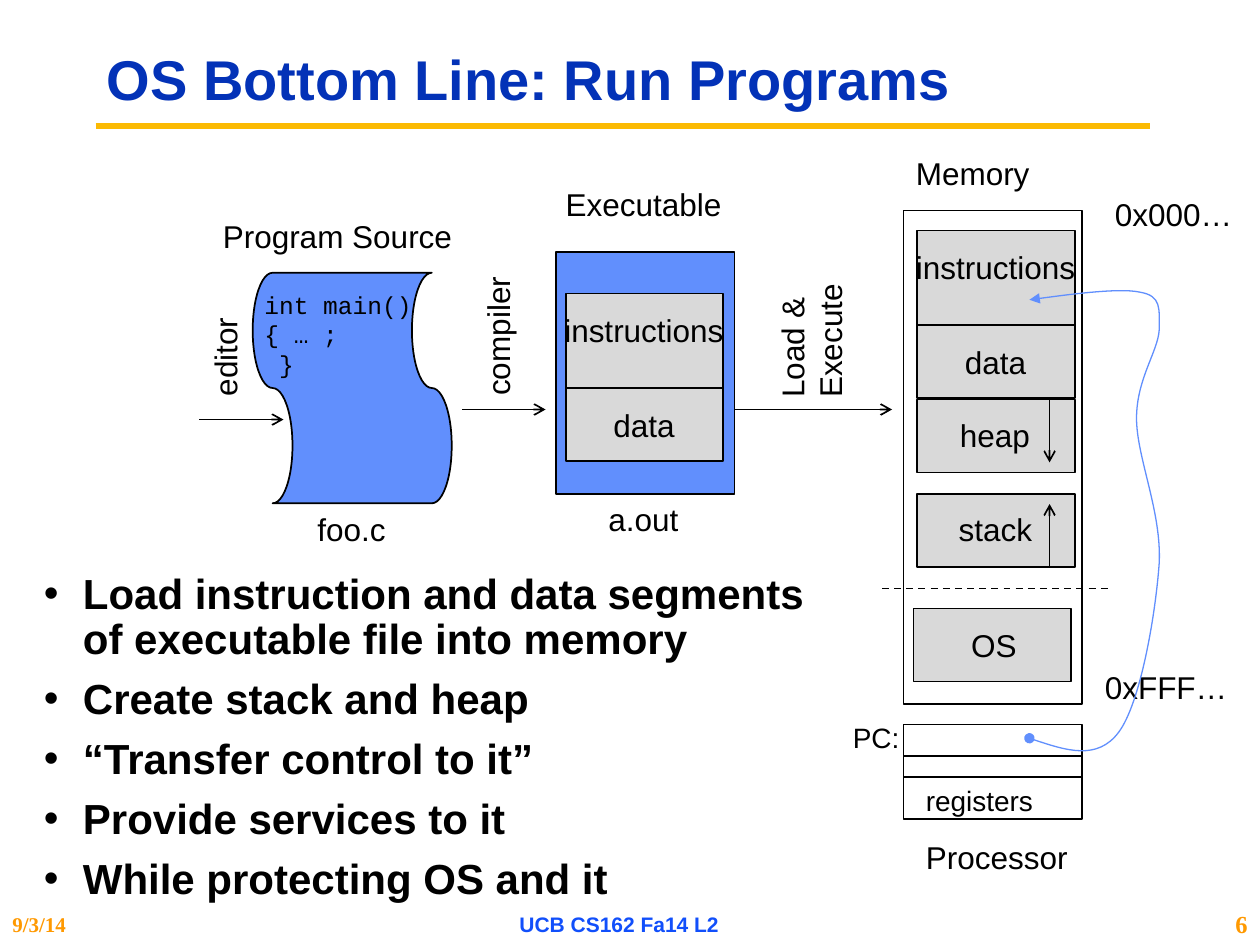
from typing import NamedTuple

from lxml import etree
from pptx import Presentation
from pptx import util as u
from pptx.dml.color import RGBColor
from pptx.enum import dml, shapes, text
from pptx.oxml.ns import qn

PX = 9144  # one px is a hundredth of an inch

BLACK = RGBColor(0x00, 0x00, 0x00)
NAVY = RGBColor(0x03, 0x32, 0xB7)
ROYAL = RGBColor(0x11, 0x4F, 0xFB)
SKY = RGBColor(0x61, 0x8F, 0xFD)
GREY = RGBColor(0xD9, 0xD9, 0xD9)
GOLD = RGBColor(0xFB, 0xBA, 0x03)
AMBER = RGBColor(0xFF, 0x99, 0x00)

RECT = shapes.MSO_SHAPE.RECTANGLE
TAPE = shapes.MSO_SHAPE.FLOWCHART_PUNCHED_TAPE
LEFT, MID, RIGHT = text.PP_ALIGN.LEFT, text.PP_ALIGN.CENTER, text.PP_ALIGN.RIGHT


class Box(NamedTuple):
    x: int
    y: int
    w: int
    h: int
    fill: RGBColor | None = None
    kind: shapes.MSO_SHAPE = RECT
    turn: int = 0


class Label(NamedTuple):
    x: int
    y: int
    w: int
    h: int
    lines: list[str]
    size: int = 18
    font: str = "Arial"
    color: RGBColor = BLACK
    bold: bool = False
    align: text.PP_ALIGN = LEFT
    turn: int = 0
    wrap: bool = False
    grow: bool = True
    mid: bool = False
    lead: float | None = None
    gap: float = 0
    dots: bool = False


class Line(NamedTuple):
    x1: int
    y1: int
    x2: int
    y2: int
    color: RGBColor = BLACK
    width: float = 1
    tip: bool = True
    dash: bool = False


def add_tip(line, end: str, kind: str) -> None:
    etree.SubElement(line._get_or_add_ln(), qn(f"a:{end}"), type=kind)


def draw_box(slide, box: Box) -> None:
    shape = slide.shapes.add_shape(box.kind, *(n * PX for n in box[:4]))
    shape.shadow.inherit = False
    shape.rotation = box.turn
    if box.fill is None:
        shape.fill.background()
    else:
        shape.fill.solid()
        shape.fill.fore_color.rgb = box.fill
    shape.line.color.rgb = BLACK
    shape.line.width = u.Pt(1)


def draw_label(slide, label: Label) -> None:
    shape = slide.shapes.add_textbox(*(n * PX for n in label[:4]))
    shape.rotation = label.turn
    frame = shape.text_frame
    frame.word_wrap = label.wrap
    fit = text.MSO_AUTO_SIZE
    frame.auto_size = fit.SHAPE_TO_FIT_TEXT if label.grow else fit.NONE
    if label.mid:
        frame.vertical_anchor = text.MSO_ANCHOR.MIDDLE
    for i, words in enumerate(label.lines):
        para = frame.add_paragraph() if i else frame.paragraphs[0]
        para.alignment = label.align
        if label.lead:
            para.line_spacing = label.lead
        if i and label.gap:
            para.space_before = u.Pt(label.gap)
        if label.dots:
            props = para._p.get_or_add_pPr()
            props.set("marL", str(31 * PX))
            props.set("indent", str(-31 * PX))
            etree.SubElement(props, qn("a:buFont"), typeface="Arial")
            etree.SubElement(props, qn("a:buChar"), char="•")
        run = para.add_run()
        run.text = words
        run.font.size = u.Pt(label.size)
        run.font.name = label.font
        run.font.bold = label.bold
        run.font.color.rgb = label.color


def draw_line(slide, line: Line) -> None:
    shape = slide.shapes.add_connector(
        shapes.MSO_CONNECTOR.STRAIGHT, *(n * PX for n in line[:4]))
    shape.line.color.rgb = line.color
    shape.line.width = u.Pt(line.width)
    if line.dash:
        shape.line.dash_style = dml.MSO_LINE.DASH
    if line.tip:
        add_tip(shape.line, "tailEnd", "arrow")
    etree.SubElement(shape._element.spPr, qn("a:effectLst"))


def draw_curve(slide, points: list[tuple[int, int]]) -> None:
    """Draw a start point followed by triples of Bezier points."""
    pen = slide.shapes.build_freeform(*points[0], scale=PX)
    pen.add_line_segments(points[1:], close=False)
    shape = pen.convert_to_shape()
    shape.shadow.inherit = False
    shape.fill.background()
    shape.line.color.rgb = SKY
    shape.line.width = u.Pt(0.75)
    add_tip(shape.line, "headEnd", "oval")
    add_tip(shape.line, "tailEnd", "triangle")
    path = shape._element.find(".//" + qn("a:path"))
    steps = path.findall(qn("a:lnTo"))
    for i in range(0, len(steps), 3):
        bend = etree.SubElement(path, qn("a:cubicBezTo"))
        for step in steps[i:i + 3]:
            bend.append(step[0])
            path.remove(step)


BOXES = [
    Box(188, 229, 183, 158, SKY, TAPE, 90),  # source file
    Box(441, 200, 142, 192, SKY),  # executable
    Box(449, 233, 125, 75, GREY),
    Box(449, 308, 125, 58, GREY),
    Box(717, 167, 142, 392),  # memory
    Box(728, 183, 125, 75, GREY),
    *(Box(x, y, 125, 58, GREY)
      for x, y in [(728, 258), (728, 317), (728, 392), (725, 483)]),
    Box(717, 575, 142, 75),  # processor
    Box(717, 600, 142, 17),
]

LINES = [
    Line(76, 100, 913, 100, GOLD, 3.75, tip=False),  # title rule
    Line(158, 333, 225, 333),
    Line(367, 325, 433, 325),
    Line(583, 325, 708, 325),
    Line(833, 317, 833, 367),  # heap grows down
    Line(833, 450, 833, 400),  # stack grows up
    Line(700, 467, 883, 467, tip=False, dash=True),
]

LABELS = [
    Label(75, 25, 842, 81, ["OS Bottom Line: Run Programs"], 32, color=NAVY,
          bold=True, wrap=True, grow=False, mid=True, lead=0.9),
    Label(25, 450, 642, 183, [
        "Load instruction and data segments of executable file into memory",
        "Create stack and heap",
        "“Transfer control to it”",
        "Provide services to it",
        "While protecting OS and it",
    ], 24, bold=True, wrap=True, grow=False, lead=0.9, gap=8.3, dots=True),
    # Source, compiler and loader
    Label(200, 225, 138, 81, ["int main()", "{ … ;", " }"], 14, "Courier New"),
    Label(137, 263, 83, 40, ["editor"], turn=270),
    Label(337, 246, 116, 40, ["compiler"], turn=270),
    Label(582, 228, 124, 71, ["Load & Execute"], turn=270, wrap=True),
    Label(167, 167, 204, 40, ["Program Source"]),
    Label(439, 142, 145, 40, ["Executable"]),
    Label(242, 400, 75, 40, ["foo.c"]),
    Label(473, 392, 76, 40, ["a.out"]),
    Label(438, 242, 148, 40, ["instructions"]),
    Label(477, 317, 69, 40, ["data"]),
    # Memory
    Label(717, 117, 111, 40, ["Memory"]),
    Label(875, 150, 114, 40, ["0x000…"]),
    Label(867, 525, 118, 40, ["0xFFF…"]),
    Label(717, 192, 148, 40, ["instructions"]),
    Label(756, 267, 69, 40, ["data"]),
    Label(752, 325, 76, 40, ["heap"]),
    Label(751, 400, 79, 40, ["stack"]),
    Label(761, 492, 57, 40, ["OS"]),
    # Processor
    Label(725, 660, 134, 40, ["Processor"]),
    Label(725, 617, 106, 37, ["registers"], 16),
    Label(667, 567, 58, 37, ["PC:"], 16),
    # Footer
    Label(0, 717, 167, 33, ["9/3/14"], 12, "Times New Roman", AMBER, True,
          grow=False, mid=True),
    Label(333, 717, 317, 33, ["UCB CS162 Fa14 L2"], 12, "Arial", ROYAL, True,
          MID, grow=False, mid=True),
    Label(942, 717, 58, 33, ["6"], 14, "Times New Roman", AMBER, True,
          RIGHT, grow=False, mid=True),
]

# From the program counter to the first instruction
JUMP = [
    (817, 586),
    (844, 595), (871, 604), (888, 581),
    (905, 558), (917, 489), (920, 447),
    (922, 406), (902, 363), (902, 332),
    (902, 301), (919, 279), (920, 262),
    (920, 245), (922, 235), (905, 232),
    (888, 228), (817, 238), (817, 238),
]


def main() -> None:
    deck = Presentation()
    deck.slide_width, deck.slide_height = 1000 * PX, 750 * PX
    slide = deck.slides.add_slide(deck.slide_layouts[6])
    for box in BOXES:
        draw_box(slide, box)
    for line in LINES:
        draw_line(slide, line)
    for label in LABELS:
        draw_label(slide, label)
    draw_curve(slide, JUMP)
    deck.save("out.pptx")


if __name__ == "__main__":
    main()
